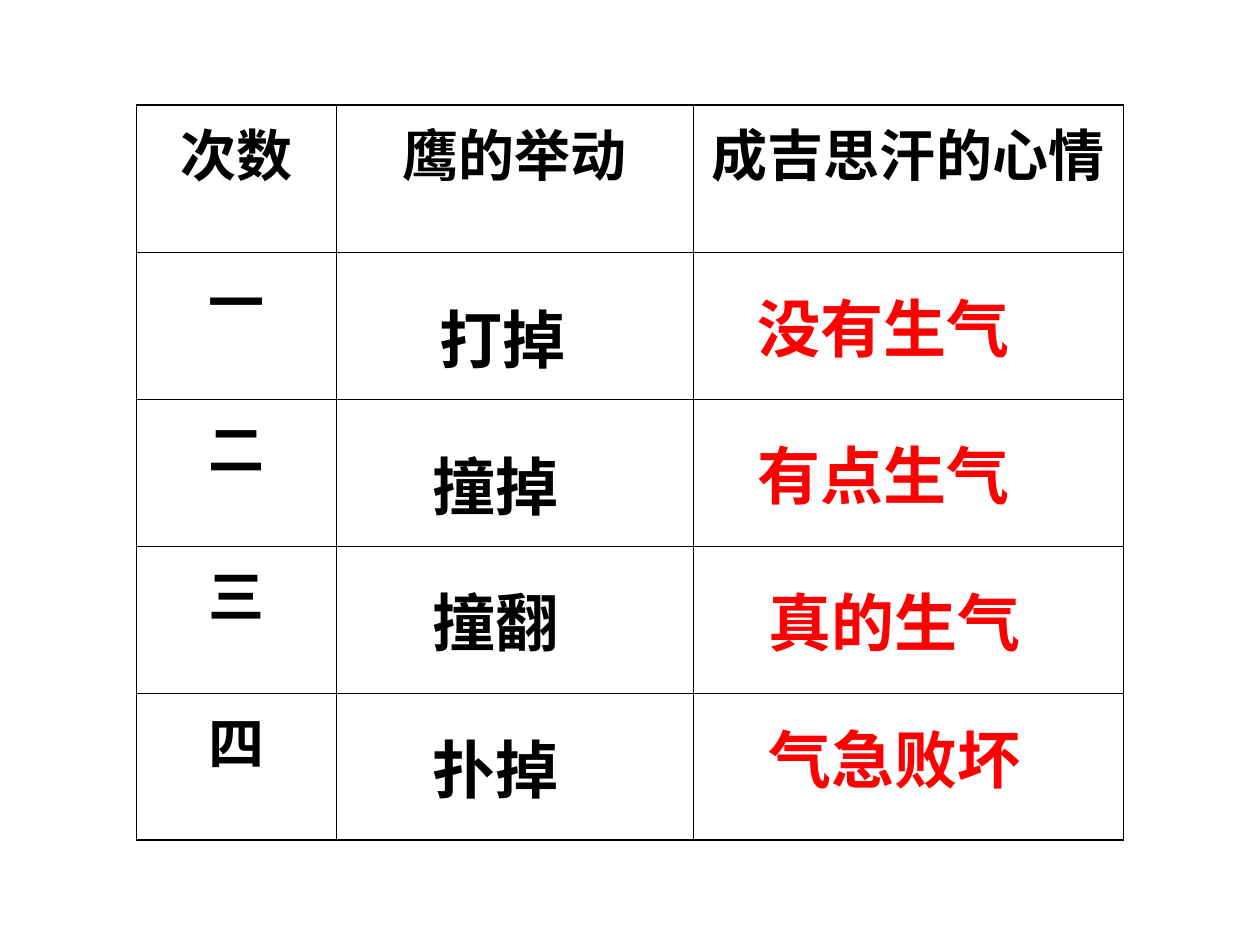
from typing import NamedTuple

from lxml import etree
from pptx import Presentation, util as u
from pptx.dml.color import RGBColor
from pptx.enum import text
from pptx.oxml import ns

BLACK, RED = "000000", "FF0000"
THIN, THICK = 0.45, 1.08


class Answer(NamedTuple):
    words: str
    left: float
    top: float
    width: float
    color: str


HEADINGS = ["次数", "鹰的举动", "成吉思汗的心情"]
COUNTS = ["一", "二", "三", "四"]
COL_WIDTHS = [114, 204, 246]
ROW_HEIGHT = 84
ANSWERS = [
    Answer("打掉", 244, 168, 104, BLACK),
    Answer("撞掉", 240, 252, 102, BLACK),
    Answer("撞翻", 240, 330, 96, BLACK),
    Answer("扑掉", 240, 414, 90, BLACK),
    Answer("没有生气", 426, 162, 180, RED),
    Answer("有点生气", 426, 246, 168, RED),
    Answer("真的生气", 432, 330, 180, RED),
    Answer("气急败坏", 432, 408, 180, RED),
]


def rgb(color: str) -> RGBColor:
    return RGBColor.from_string(color)


def write(tf, words: str, *, size: float, color: str = BLACK,
          align=text.PP_ALIGN.LEFT) -> None:
    p = tf.paragraphs[0]
    p.alignment = align
    r = p.add_run()
    r.text = words
    r.font.name = "Arial"
    r.font.size = u.Pt(size)
    r.font.bold = True
    r.font.color.rgb = rgb(color)


def add_border(cell, side: str, width: float) -> None:
    tc_pr = cell._tc.get_or_add_tcPr()
    ln = etree.SubElement(tc_pr, ns.qn(f"a:ln{side}"), w=str(u.Pt(width)))
    fill = etree.SubElement(ln, ns.qn("a:solidFill"))
    etree.SubElement(fill, ns.qn("a:srgbClr"), val=BLACK)


def draw_table(s) -> None:
    rows = [HEADINGS] + [[count, "", ""] for count in COUNTS]
    last_row, last_col = len(rows) - 1, len(COL_WIDTHS) - 1
    table = s.shapes.add_table(
        len(rows), len(COL_WIDTHS), u.Pt(78), u.Pt(60),
        u.Pt(sum(COL_WIDTHS)), u.Pt(ROW_HEIGHT * len(rows))).table
    table.first_row = table.horz_banding = False
    for col, width in zip(table.columns, COL_WIDTHS):
        col.width = u.Pt(width)
    for i, row in enumerate(rows):
        table.rows[i].height = u.Pt(ROW_HEIGHT)
        for j, words in enumerate(row):
            cell = table.cell(i, j)
            outer = {"L": j == 0, "R": j == last_col,
                     "T": i == 0, "B": i == last_row}
            for side, is_outer in outer.items():
                add_border(cell, side, THICK if is_outer else THIN)
            cell.fill.background()
            if words:
                write(cell.text_frame, words, size=32,
                      align=text.PP_ALIGN.CENTER)


def draw_answer(s, answer: Answer) -> None:
    sp = s.shapes.add_textbox(u.Pt(answer.left), u.Pt(answer.top),
                              u.Pt(answer.width), u.Pt(50.4))
    tf = sp.text_frame
    tf.word_wrap = True
    tf.auto_size = text.MSO_AUTO_SIZE.SHAPE_TO_FIT_TEXT
    write(tf, answer.words, size=36, color=answer.color)


def main() -> None:
    prs = Presentation()
    prs.slide_width, prs.slide_height = u.Pt(720), u.Pt(540)
    s = prs.slides.add_slide(prs.slide_layouts[6])
    draw_table(s)
    for answer in ANSWERS:
        draw_answer(s, answer)
    prs.save("out.pptx")


if __name__ == "__main__":
    main()
